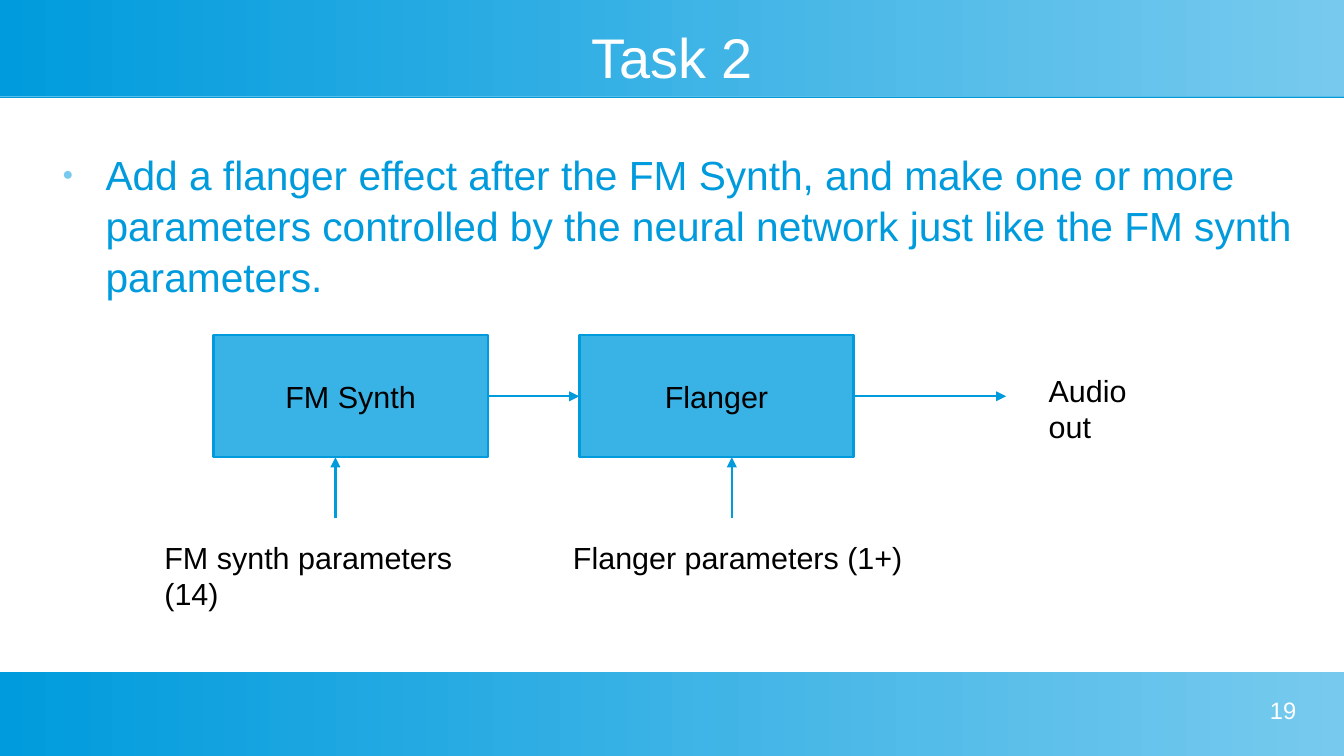
from lxml.etree import SubElement
from pptx import Presentation
from pptx.dml.color import RGBColor
from pptx.enum.shapes import MSO_CONNECTOR, MSO_SHAPE
from pptx.enum.text import MSO_ANCHOR, PP_ALIGN
from pptx.oxml.ns import qn
from pptx.util import Pt

COLORS = {"blue": "009BDD", "sky": "77CAEE", "block": "39B2E5",
          "white": "FFFFFF", "black": "000000"}
WIDTH, HEIGHT = 793.44, 446.4
RIGHT, BOTTOM = 3, 2
LEFT = 1


def color(name):
    return RGBColor.from_string(COLORS[name])


def write(frame, text, size=18, ink="black", align=PP_ALIGN.LEFT,
          anchor=MSO_ANCHOR.TOP, wrap=False, inset=(7.2, 3.6),
          bullet=None, spacing=None):
    frame.word_wrap = wrap
    frame.vertical_anchor = anchor
    frame.margin_left = frame.margin_right = Pt(inset[0])
    frame.margin_top = frame.margin_bottom = Pt(inset[1])
    paragraph = frame.paragraphs[0]
    paragraph.alignment = align
    if spacing:
        paragraph.line_spacing = spacing
    if bullet:
        props = paragraph._p.get_or_add_pPr()
        props.set("marL", str(Pt(34)))
        props.set("indent", str(-Pt(25.5)))
        tint = SubElement(props, qn("a:buClr"))
        SubElement(tint, qn("a:srgbClr"), val=COLORS["sky"])
        SubElement(props, qn("a:buSzPct"), val="45000")
        SubElement(props, qn("a:buFont"), typeface="Arial")
        SubElement(props, qn("a:buChar"), char=bullet)
    run = paragraph.add_run()
    run.text = text
    run.font.name = "Arial"
    run.font.size = Pt(size)
    run.font.color.rgb = color(ink)


class TaskSlide:
    def __init__(self, deck):
        self.shapes = deck.slides.add_slide(deck.slide_layouts[6]).shapes
        self.stroke = 1.42

    def rectangle(self, left, top, width, height):
        shape = self.shapes.add_shape(
            MSO_SHAPE.RECTANGLE, Pt(left), Pt(top), Pt(width), Pt(height))
        shape.shadow.inherit = False
        return shape

    def band(self, top, height):
        band = self.rectangle(0, top, WIDTH, height)
        band.line.fill.background()
        band.fill.gradient()
        band.fill.gradient_angle = 0
        for stop, name in zip(band.fill.gradient_stops, ("blue", "sky")):
            stop.color.rgb = color(name)

    def rule(self, top, height):
        rule = self.rectangle(0, top, WIDTH, height)
        rule.line.fill.background()
        rule.fill.solid()
        rule.fill.fore_color.rgb = color("blue")

    def block(self, left, text):
        block = self.rectangle(left, 198, 162, 72)
        block.fill.solid()
        block.fill.fore_color.rgb = color("block")
        block.line.color.rgb = color("blue")
        block.line.width = Pt(self.stroke)
        write(block.text_frame, text, align=PP_ALIGN.CENTER,
              anchor=MSO_ANCHOR.MIDDLE)
        return block

    def label(self, left, top, width, height, text, **style):
        box = self.shapes.add_textbox(Pt(left), Pt(top), Pt(width), Pt(height))
        write(box.text_frame, text, **style)

    def arrow(self, x1, y1, x2, y2, source=None, target=None):
        arrow = self.shapes.add_connector(
            MSO_CONNECTOR.STRAIGHT, Pt(x1), Pt(y1), Pt(x2), Pt(y2))
        if source:
            arrow.begin_connect(source, RIGHT)
        if target:
            arrow.end_connect(target, LEFT)
        arrow.line.color.rgb = color("blue")
        arrow.line.width = Pt(self.stroke)
        SubElement(arrow.line._get_or_add_ln(), qn("a:tailEnd"), type="triangle")
        SubElement(arrow._element.spPr, qn("a:effectLst"))


def main():
    deck = Presentation()
    deck.slide_width, deck.slide_height = Pt(WIDTH), Pt(HEIGHT)
    slide = TaskSlide(deck)

    # Header and footer bands
    slide.band(0, 56.9)
    slide.rule(56.9, 0.9)
    slide.band(396.8, 49.6)

    # Title and task
    slide.label(28.35, 14.4, 737, 37.4, "Task 2", size=33, ink="white",
                align=PP_ALIGN.CENTER, anchor=MSO_ANCHOR.MIDDLE,
                wrap=True, inset=(0, 0))
    slide.label(28.35, 87, 737, 281,
                "Add a flanger effect after the FM Synth, and make one or more "
                "parameters controlled by the neural network just like the FM "
                "synth parameters.", size=24, ink="blue", wrap=True,
                inset=(0, 0), bullet="●", spacing=1.05)

    # Signal chain
    synth = slide.block(126, "FM Synth")
    flanger = slide.block(342, "Flanger")
    slide.arrow(288, 234, 342, 234, source=synth, target=flanger)
    slide.arrow(504, 234, 594, 234, source=flanger)
    slide.label(612, 216, 90, 27.4, "Audio out")

    # Parameters feeding each block
    for arrow_x, left, width, text in (
            (198, 90, 221, "FM synth parameters (14)"),
            (432, 331.2, 208.8, "Flanger parameters (1+)")):
        slide.arrow(arrow_x, 306, arrow_x, 270)
        slide.label(left, 314.6, width, 27.4, text)

    # Page number
    slide.label(581, 411, 184.3, 28, "19", size=14, ink="white",
                align=PP_ALIGN.RIGHT, wrap=True, inset=(0, 0))

    deck.save("out.pptx")


if __name__ == "__main__":
    main()
